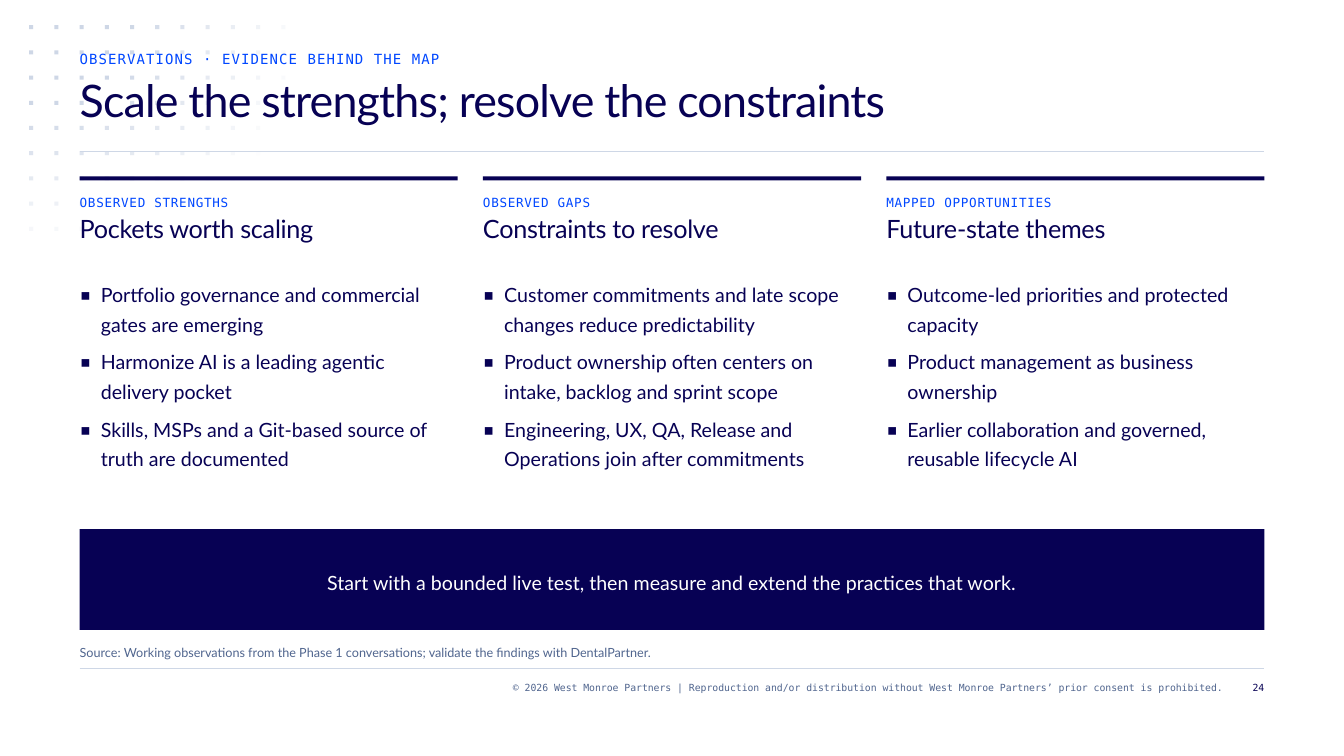
from math import hypot

from lxml.etree import SubElement
from pptx import Presentation
from pptx.dml.color import RGBColor
from pptx.enum.shapes import MSO_CONNECTOR as Connector, MSO_SHAPE as Shape
from pptx.enum.text import MSO_ANCHOR as Anchor, MSO_AUTO_SIZE as AutoSize, PP_ALIGN as Align
from pptx.oxml.ns import qn
from pptx.util import Inches, Pt

COLORS = {"navy": "070154", "blue": "0047FF", "slate": "50658E", "mist": "CED7E6", "white": "FFFFFF"}
SANS, MONO = "Lato", "DejaVu Sans Mono"
LEFT, WIDTH = 0.79, 11.75
COLUMN_WIDTH, COLUMN_PITCH = 3.75, 4

COLUMNS = [
    ("OBSERVED STRENGTHS", "Pockets worth scaling", [
        "Portfolio governance and commercial gates are emerging",
        "Harmonize AI is a leading agentic delivery pocket",
        "Skills, MSPs and a Git-based source of truth are documented"]),
    ("OBSERVED GAPS", "Constraints to resolve", [
        "Customer commitments and late scope changes reduce predictability",
        "Product ownership often centers on intake, backlog and sprint scope",
        "Engineering, UX, QA, Release and Operations join after commitments"]),
    ("MAPPED OPPORTUNITIES", "Future-state themes", [
        "Outcome-led priorities and protected capacity",
        "Product management as business ownership",
        "Earlier collaboration and governed, reusable lifecycle AI"]),
]


def color(name):
    return RGBColor.from_string(COLORS[name])


def write(frame, *paragraphs, size, leading, font=SANS, ink="navy", align=Align.LEFT,
          tracking=0, anchor=Anchor.TOP, gap=0, bullet_indent=0):
    frame.word_wrap = True
    frame.auto_size = AutoSize.NONE
    frame.vertical_anchor = anchor
    frame.margin_left = frame.margin_right = frame.margin_top = frame.margin_bottom = 0
    for index, wording in enumerate(paragraphs):
        paragraph = frame.add_paragraph() if index else frame.paragraphs[0]
        paragraph.alignment = align
        paragraph.line_spacing = Pt(leading)
        paragraph.space_before = Pt(0)
        paragraph.space_after = Pt(gap)
        if bullet_indent:
            properties = paragraph._p.get_or_add_pPr()
            properties.set("marL", str(Inches(bullet_indent)))
            properties.set("indent", str(-Inches(bullet_indent)))
            SubElement(properties, qn("a:buFont"), typeface=MONO)
            SubElement(properties, qn("a:buChar"), char="▪")
        run = paragraph.add_run()
        run.text = wording
        run.font.name, run.font.size = font, Pt(size)
        run.font.bold = False
        run.font.color.rgb = color(ink)
        if tracking:
            run._r.get_or_add_rPr().set("spc", str(round(tracking * 100)))


class Deck:
    """Holds the presentation, its style and the current slide."""

    def __init__(self):
        self.deck = Presentation()
        self.deck.slide_width, self.deck.slide_height = Inches(13.33), Inches(7.5)
        self.slide = self.deck.slides.add_slide(self.deck.slide_layouts[5])
        self.shapes = self.slide.shapes

    def block(self, left, top, width, height, fill="navy", opacity=100):
        block = self.shapes.add_shape(Shape.RECTANGLE, *map(Inches, (left, top, width, height)))
        block.shadow.inherit = False
        block.fill.solid()
        block.fill.fore_color.rgb = color(fill)
        block.line.fill.background()
        if opacity < 100:
            tint = block._element.spPr.find(qn("a:solidFill"))[0]
            SubElement(tint, qn("a:alpha"), val=str(opacity * 1000))
        return block

    def rule(self, top):
        rule = self.shapes.add_connector(
            Connector.STRAIGHT, *map(Inches, (LEFT, top, LEFT + WIDTH, top)))
        rule.line.color.rgb = color("mist")
        rule.line.width = Pt(0.75)
        SubElement(rule._element.spPr, qn("a:effectLst"))

    def text(self, left, top, width, height, *paragraphs, **style):
        box = self.shapes.add_textbox(*map(Inches, (left, top, width, height)))
        write(box.text_frame, *paragraphs, **style)

    def title(self, wording, **style):
        title = self.shapes.title
        title.left, title.top, title.width, title.height = map(Inches, (LEFT, 0.75, WIDTH, 0.75))
        write(title.text_frame, wording, **style)
        self.shapes._spTree.append(title._element)

    def dot_field(self):
        for column in range(11):
            for row in range(9):
                opacity = round(152 * (1 - hypot(column / 11.1, row / 9.08)))
                if opacity > 2:
                    self.block(0.29 + column / 4, 0.25 + row / 4, 0.04, 0.04, "mist", opacity)

    def column(self, left, label, heading, points):
        self.block(left, 1.75, COLUMN_WIDTH, 0.04)
        self.text(left, 1.92, COLUMN_WIDTH, 0.17, label,
                  size=9, leading=12, font=MONO, ink="blue", tracking=0.5)
        self.text(left, 2.08, COLUMN_WIDTH, 0.33, heading, size=18, leading=24, tracking=-0.2)
        self.text(left, 2.75, COLUMN_WIDTH, 1.92, *points,
                  size=14, leading=21, gap=6, bullet_indent=0.21)


def main():
    deck = Deck()
    deck.dot_field()
    deck.rule(1.5)
    deck.rule(6.63)
    deck.text(LEFT, 0.5, WIDTH, 0.17, "OBSERVATIONS · EVIDENCE BEHIND THE MAP",
              size=10, leading=12, font=MONO, ink="blue", tracking=0.8)
    deck.title("Scale the strengths; resolve the constraints", size=32, leading=36, tracking=-0.6)
    for index, content in enumerate(COLUMNS):
        deck.column(LEFT + index * COLUMN_PITCH, *content)
    takeaway = deck.block(LEFT, 5.25, WIDTH, 1)
    write(takeaway.text_frame,
          "Start with a bounded live test, then measure and extend the practices that work.",
          size=14, leading=21, ink="white", align=Align.CENTER, anchor=Anchor.MIDDLE)
    deck.text(LEFT, 6.38, WIDTH, 0.17,
              "Source: Working observations from the Phase 1 conversations; "
              "validate the findings with DentalPartner.", size=9, leading=12, ink="slate")
    footer = {"size": 7, "leading": 9, "font": MONO, "align": Align.RIGHT}
    deck.text(2.38, 6.75, 9.75, 0.25,
              "© 2026 West Monroe Partners | Reproduction and/or distribution without "
              "West Monroe Partners’ prior consent is prohibited.", ink="slate", **footer)
    deck.text(12.21, 6.75, 0.33, 0.25, "24", **footer)
    deck.deck.save("out.pptx")


if __name__ == "__main__":
    main()
